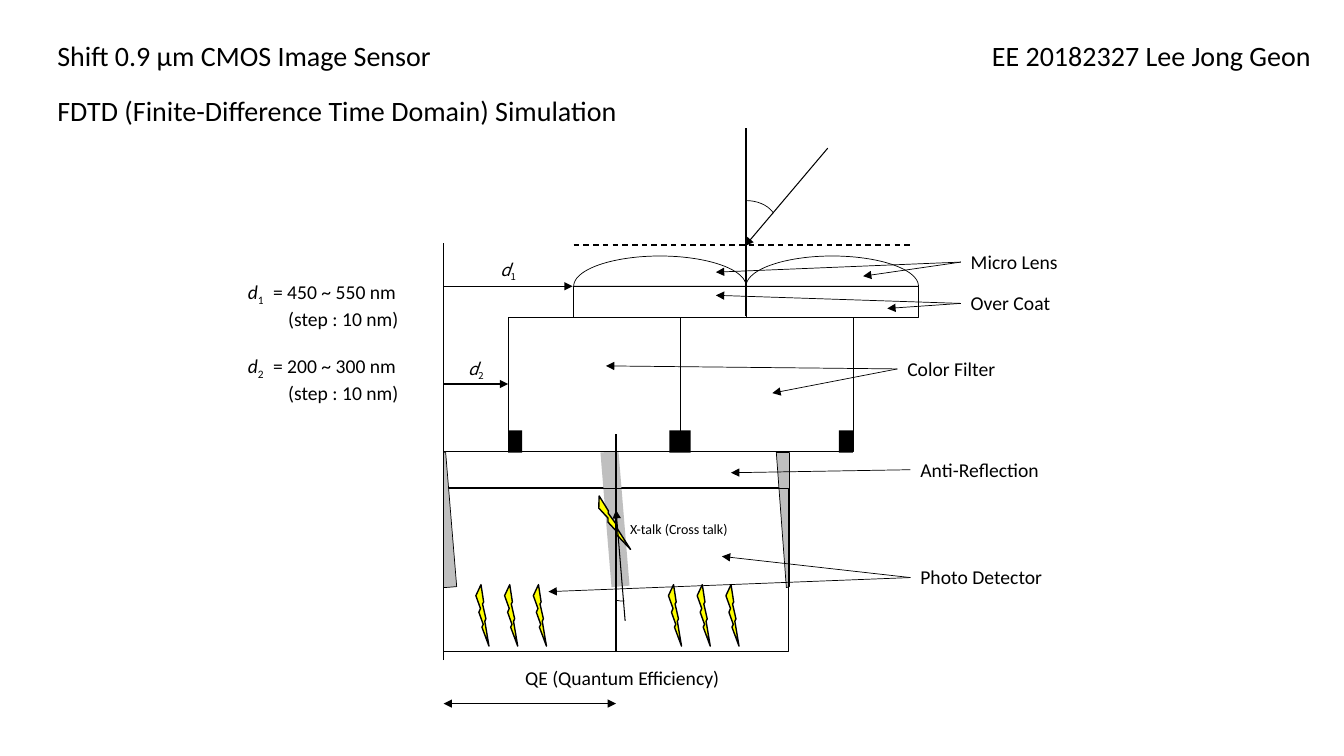
import math
import pptx
import pptx.chart.data
import pptx.dml.color
import pptx.enum.dml
import pptx.enum.shapes
import pptx.enum.text
import pptx.oxml
import pptx.oxml.ns
import pptx.util

Inches = pptx.util.Inches
Pt = pptx.util.Pt
Kind = pptx.enum.shapes.MSO_SHAPE
Align = pptx.enum.text.PP_ALIGN
Anchor = pptx.enum.text.MSO_ANCHOR
Fit = pptx.enum.text.MSO_AUTO_SIZE
Dash = pptx.enum.dml.MSO_LINE
BLACK, GREY, YELLOW = "000000", "BFBFBF", "FFFF00"
LEFT, PIXEL = 4.4, 1.71


def color(code):
    return pptx.dml.color.RGBColor.from_string(code)


def assign(item, values):
    for name, value in values.items():
        setattr(item, name, value)


def child(parent, tag, **attrs):
    node = pptx.oxml.parse_xml(f"<a:{tag} {pptx.oxml.ns.nsdecls('a')}/>")
    for name, value in attrs.items():
        node.set(name, value)
    parent.append(node)
    return node


def paint(shape, fill=None, width=0.5):
    shape.shadow.inherit = False
    if fill:
        shape.fill.solid()
        shape.fill.fore_color.rgb = color(fill)
    else:
        shape.fill.background()
    if width:
        shape.line.color.rgb = color(BLACK)
        shape.line.width = Pt(width)
    else:
        shape.line.fill.background()


def block(slide, kind, box, fill=None, width=0.5, turn=0, adjust=()):
    shape = slide.shapes.add_shape(kind, *map(Inches, box))
    shape.rotation = turn
    for index, value in enumerate(adjust):
        shape.adjustments[index] = value
    paint(shape, fill, width)


def outline(slide, points, fill=None):
    dots = [(Inches(x), Inches(y)) for x, y in points]
    form = slide.shapes.build_freeform(*dots[0])
    form.add_line_segments(dots[1:], close=True)
    paint(form.convert_to_shape(), fill)


def lens(slide, left):
    angles = [math.pi * step / 48 for step in range(49)]
    half = PIXEL / 2
    outline(slide, [(left + half - half * math.cos(a), 2.84 - 0.3 * math.sin(a))
                    for a in angles])


def link(slide, start, end, width=0.5, ends=(), dash=None):
    line = slide.shapes.add_connector(
        pptx.enum.shapes.MSO_CONNECTOR.STRAIGHT, *map(Inches, start + end))
    line.line.color.rgb = color(BLACK)
    assign(line.line, {"width": Pt(width), "dash_style": dash})
    for tag in ends:
        child(line.line._get_or_add_ln(), tag, type="triangle")
    child(line._element.spPr, "effectLst")


def write(par, text, size, face="Calibri", italic=False, sub=False):
    run = par.add_run()
    run.text = text
    assign(run.font, {"size": Pt(size), "name": face, "italic": italic})
    run.font.color.rgb = color(BLACK)
    if sub:
        run.font._element.set("baseline", "-25000")


def frame(slide, box, wrap=False, **values):
    text = slide.shapes.add_textbox(*map(Inches, box)).text_frame
    assign(text, {"word_wrap": wrap, "auto_size": Fit.SHAPE_TO_FIT_TEXT, **values})
    return text


def note(slide, text, box, size=14, wrap=False, align=Align.LEFT):
    par = frame(slide, box, wrap).paragraphs[0]
    par.alignment = align
    write(par, text, size)


def shift(slide, digit, left, top):
    text = frame(slide, (left, top, 0.36, 0.3), vertical_anchor=Anchor.MIDDLE)
    par = text.paragraphs[0]
    par.alignment = Align.CENTER
    write(par, "d", 12, "Noto Sans CJK KR", italic=True)
    write(par, digit, 12, "Noto Sans CJK KR", sub=True)


def ranges(slide):
    text = frame(slide, (2.36, 2.73, 1.84, 1.28), wrap=True)
    for digit, span in (("1", "450 ~ 550"), ("2", "200 ~ 300")):
        first = digit == "1"
        par = text.paragraphs[0] if first else text.add_paragraph()
        stops = child(par._p.get_or_add_pPr(), "tabLst")
        child(stops, "tab", pos=str(Inches(0.25)), algn="l")
        if not first:
            par.space_before = Pt(17)
        write(par, "d", 14, italic=True)
        write(par, digit, 14, sub=True)
        write(par, f"\t= {span} nm", 14)
        par = text.add_paragraph()
        par._p.get_or_add_pPr().set("marL", str(Inches(0.4)))
        write(par, "(step : 10 nm)", 14)


def label(slide, text, left, mid, width, tips):
    note(slide, text, (left, mid - 0.17, width, 0.34))
    for tip in tips:
        link(slide, (left, mid), tip, ends=["tailEnd"])


def layers(slide):
    block(slide, Kind.RECTANGLE, (LEFT, 4.48, 2 * PIXEL, 0.36))
    outline(slide, [(7.7, 4.49), (7.83, 4.49), (7.83, 5.82), (7.8, 5.83)], GREY)
    block(slide, Kind.RECTANGLE, (6.01, 4.48, 0.18, 1.34), GREY, 0, 355.3)
    for col in range(2):
        step = col * PIXEL
        block(slide, Kind.RECTANGLE, (5.04 + step, 3.15, PIXEL, 1.33))
        block(slide, Kind.RECTANGLE, (5.69 + step, 2.84, PIXEL, 0.31))
        lens(slide, 5.69 + step)
        block(slide, Kind.RECTANGLE, (LEFT + step, 4.84, PIXEL, 1.62))
        if col == 0:
            outline(slide, [(4.42, 4.48), (4.53, 5.82), (4.4, 5.83), (4.4, 4.49)], GREY)
    for left, width in ((5.04, 0.14), (6.64, 0.21), (8.32, 0.14)):
        block(slide, Kind.RECTANGLE, (left, 4.27, width, 0.22), BLACK, 0)


def rays(slide):
    for start, end in (((7.4, 3.14), (7.4, 1.27)), ((LEFT, 6.55), (LEFT, 2.41)),
                       ((6.11, 6.46), (6.11, 4.31))):
        link(slide, start, end, 1)
    link(slide, (5.69, 2.43), (9.04, 2.43), 1, dash=Dash.DASH)
    link(slide, (8.21, 1.47), (7.39, 2.44), 0.75, ["tailEnd"])
    link(slide, (6.2, 6.16), (6.11, 5.06), 0.75, ["tailEnd"])
    link(slide, (LEFT, 2.84), (5.68, 2.84), 1, ["tailEnd"])
    link(slide, (LEFT, 3.81), (5.04, 3.81), 1, ["tailEnd"])
    link(slide, (LEFT, 6.98), (6.11, 6.98), 0.5, ["headEnd", "tailEnd"])
    block(slide, Kind.ARC, (7.1, 1.99, 0.6, 0.43), adjust=(162, 205.06))
    block(slide, Kind.ARC, (6.01, 5.63, 0.44, 0.31), turn=146.1, adjust=(189.12, 205.06))


def bolts(slide):
    for side in (4.72, 6.63):
        for col in range(3):
            block(slide, Kind.LIGHTNING_BOLT,
                  (side + col * 0.285, 5.8, 0.13, 0.61), YELLOW, 1)
    block(slide, Kind.LIGHTNING_BOLT, (6.01, 4.89, 0.13, 0.61), YELLOW, 1, 337)


def main():
    deck = pptx.Presentation()
    assign(deck, {"slide_width": Inches(13.33), "slide_height": Inches(7.5)})
    slide = deck.slides.add_slide(deck.slide_layouts[6])
    layers(slide)
    bolts(slide)
    rays(slide)
    for text, box in (
            ("Shift 0.9 µm CMOS Image Sensor", (0.47, 0.33, 4.41, 0.44)),
            ("FDTD (Finite-Difference Time Domain) Simulation", (0.47, 0.88, 5.97, 0.44)),
            ("EE 20182327 Lee Jong Geon", (9.74, 0.33, 3.43, 0.44))):
        note(slide, text, box, 20, True)
    shift(slide, "1", 4.86, 2.54)
    shift(slide, "2", 4.54, 3.52)
    ranges(slide)
    for text, left, mid, width, tips in (
            ("Micro Lens", 9.53, 2.6, 1.07, [(7.1, 2.7), (8.56, 2.74)]),
            ("Over Coat", 9.53, 3.01, 1, [(7.1, 2.93), (8.8, 3.06)]),
            ("Color Filter", 8.9, 3.66, 1.08, [(6.01, 3.63), (7.66, 3.9)]),
            ("Anti-Reflection", 9.03, 4.66, 1.39, [(7.25, 4.69)]),
            ("Photo Detector", 9.03, 5.73, 1.42, [(7.16, 5.52), (5.44, 5.87)])):
        label(slide, text, left, mid, width, tips)
    note(slide, "QE (Quantum Efficiency)", (5.11, 6.56, 2.13, 0.34))
    note(slide, "X-talk (Cross talk)", (6.15, 5.11, 1.19, 0.27), 10)
    deck.save("out.pptx")


if __name__ == "__main__":
    main()
